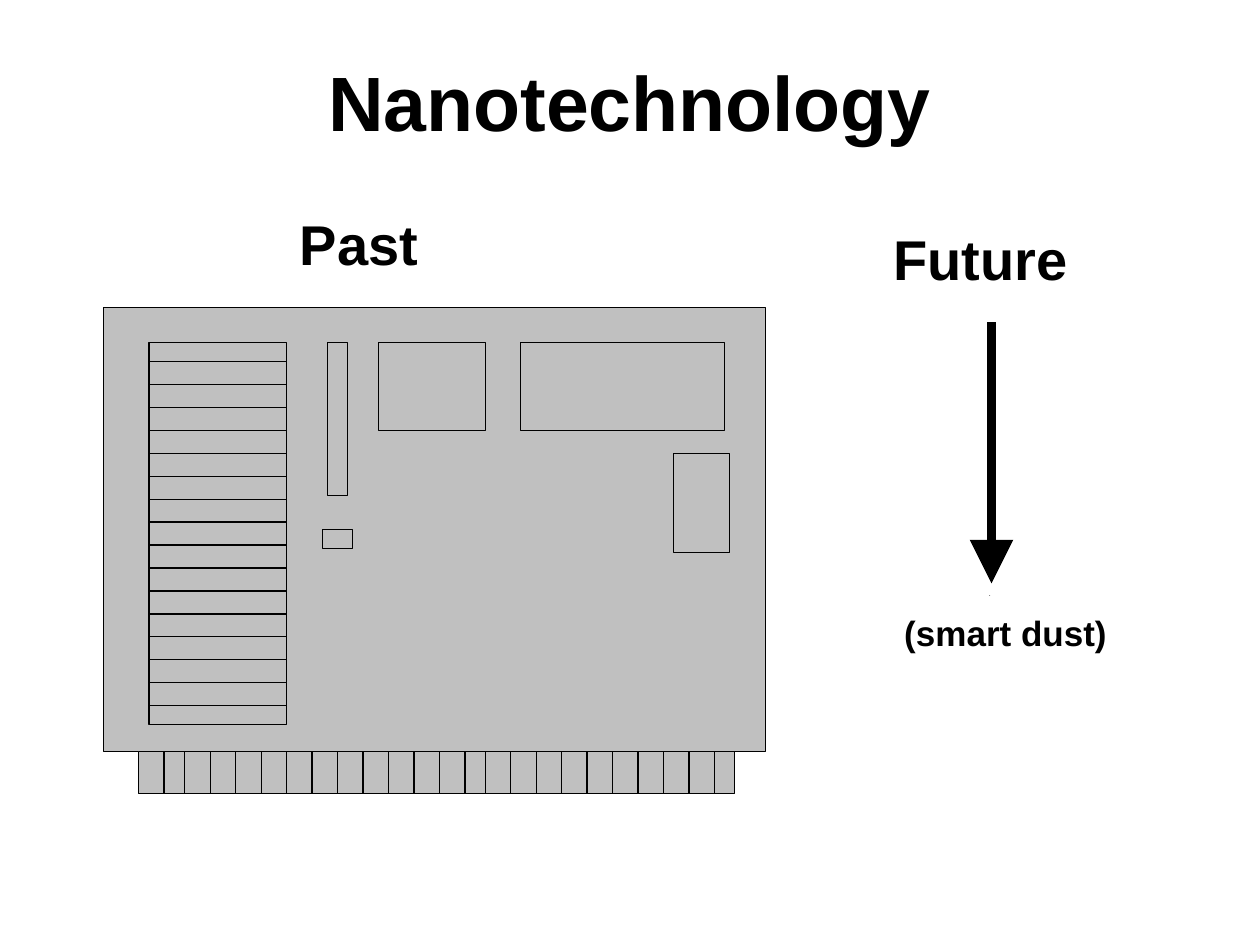
from dataclasses import dataclass

from lxml.etree import SubElement
from pptx import Presentation
from pptx.dml.color import RGBColor
from pptx.enum.shapes import MSO_CONNECTOR
from pptx.enum.text import MSO_ANCHOR, MSO_AUTO_SIZE, PP_ALIGN
from pptx.oxml.ns import qn
from pptx.slide import Slide
from pptx.util import Pt


def color(hex_value):
    return RGBColor.from_string(hex_value)


def rectangle(left, top, right, bottom):
    return [(left, top), (right, top), (right, bottom), (left, bottom), (left, top)]


@dataclass
class SlideBuilder:
    slide: Slide
    font: str = "Arial"
    ink: str = "000000"
    board: str = "C0C0C0"

    def format_text(self, paragraph, text, size, bold):
        paragraph.text = text
        paragraph.font.name = self.font
        paragraph.font.size = Pt(size)
        paragraph.font.bold = bold
        paragraph.font.color.rgb = color(self.ink)

    def title(self, text, left, top, width, height, size):
        heading = self.slide.shapes.title
        heading.left, heading.top = Pt(left), Pt(top)
        heading.width, heading.height = Pt(width), Pt(height)
        heading.text_frame.vertical_anchor = MSO_ANCHOR.MIDDLE
        paragraph = heading.text_frame.paragraphs[0]
        self.format_text(paragraph, text, size, True)
        paragraph.alignment = PP_ALIGN.CENTER

    def label(self, text, left, top, width, height, size, bold=True):
        box = self.slide.shapes.add_textbox(Pt(left), Pt(top), Pt(width), Pt(height))
        box.text_frame.word_wrap = False
        box.text_frame.auto_size = MSO_AUTO_SIZE.SHAPE_TO_FIT_TEXT
        self.format_text(box.text_frame.paragraphs[0], text, size, bold)

    def arrow(self, x, top, bottom, weight):
        line = self.slide.shapes.add_connector(
            MSO_CONNECTOR.STRAIGHT, Pt(x), Pt(top), Pt(x), Pt(bottom))
        line.line.color.rgb = color(self.ink)
        line.line.width = Pt(weight)
        SubElement(line.line._get_or_add_ln(), qn("a:tailEnd"),
                   type="triangle", w="lg", len="lg")
        SubElement(line._element.spPr, qn("a:effectLst"))

    def outline(self, contours, filled):
        scaled = [[(Pt(x), Pt(y)) for x, y in contour] for contour in contours]
        builder = self.slide.shapes.build_freeform(*scaled[0][0])
        for index, (start, *rest) in enumerate(scaled):
            if index:
                builder.move_to(*start)
            builder.add_line_segments(rest, close=False)
        drawing = builder.convert_to_shape()
        drawing.shadow.inherit = False
        if filled:
            drawing.fill.solid()
            drawing.fill.fore_color.rgb = color(self.board)
        else:
            drawing.fill.background()
        drawing.line.color.rgb = color(self.ink)
        drawing.line.width = Pt(0.75)


def draw_circuit_board(page):
    left, top, right = 59, 175.7, 437.3
    edge_left, edge_right = 79.2, 419.8
    edge_top, edge_bottom = 429.6, 453.6
    page.outline([[
        (left, top), (right, top), (right, edge_top), (edge_right, edge_top),
        (edge_right, edge_bottom), (edge_left, edge_bottom),
        (edge_left, edge_top), (left, edge_top), (left, top),
    ]], filled=True)

    vent_left, vent_right = 85.1, 163.6
    slat_heights = [206.6 + 13.11 * i for i in range(16)]
    slats = [[(vent_left, y), (vent_right, y)] for y in slat_heights]

    pin_gap = 14.56
    pin_positions = [93.8]
    pin_positions += [105.6 + pin_gap * i for i in range(12)]
    pin_positions += [277.3 + pin_gap * i for i in range(10)]
    pins = [[(x, edge_top), (x, edge_bottom)] for x in pin_positions]

    chip_top = 195.8
    chips = [
        rectangle(vent_left, chip_top, vent_right, 414.2),
        rectangle(187.2, chip_top, 198.7, 283),
        rectangle(184.3, 302.4, 201.6, 313.6),
        rectangle(216.2, chip_top, 277.5, 245.9),
        rectangle(297.6, chip_top, 414, 245.9),
        rectangle(384.9, 259, 416.9, 315.8),
    ]
    edge = [(edge_left, edge_top), (edge_right, edge_top)]
    page.outline([edge, *slats, *pins, *chips], filled=False)


def main():
    presentation = Presentation()
    presentation.slide_width, presentation.slide_height = Pt(720), Pt(540)
    page = SlideBuilder(presentation.slides.add_slide(presentation.slide_layouts[5]))
    page.title("Nanotechnology", 36, 21.6, 648, 72, 44)
    page.label("Past", 164.2, 115.9, 82, 46, 32)
    page.label("Future", 503.5, 124.6, 115, 46, 32)
    page.arrow(566.6, 184.3, 333.4, 5)
    page.label(".", 558, 333.4, 15.1, 12.2, 4, bold=False)
    page.label("(smart dust)", 509.6, 346, 130.6, 31.7, 20)
    draw_circuit_board(page)
    presentation.save("out.pptx")


if __name__ == "__main__":
    main()
